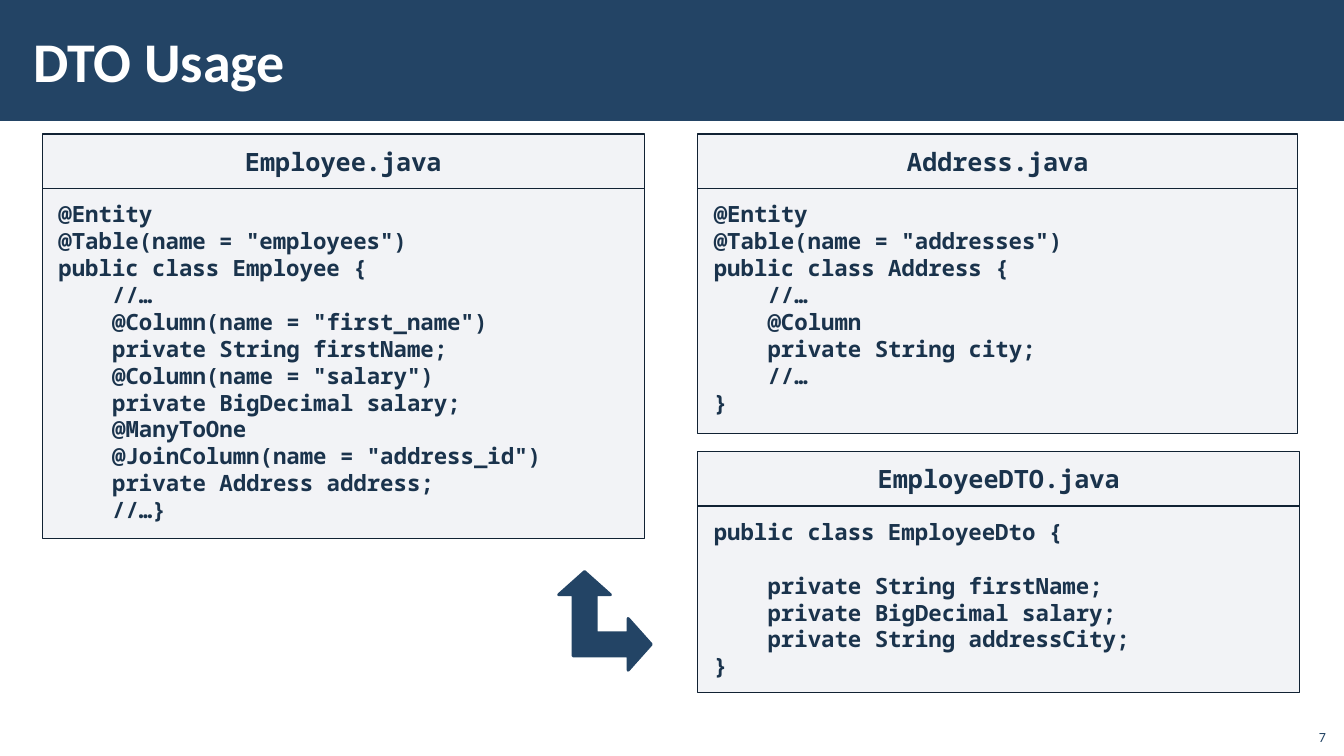
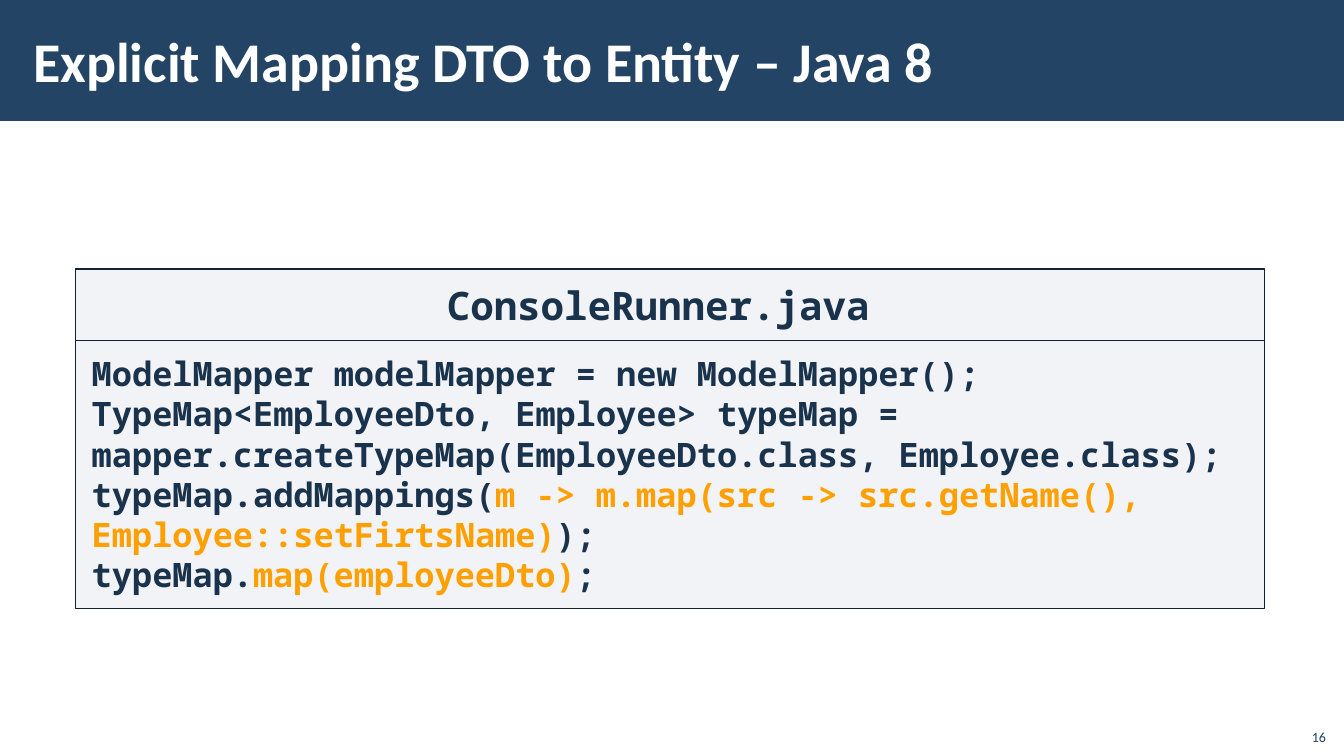
from lxml import etree
from pptx import Presentation
from pptx.dml.color import RGBColor
from pptx.enum.shapes import MSO_SHAPE
from pptx.enum.text import MSO_ANCHOR, PP_ALIGN
from pptx.oxml.ns import qn
from pptx.util import Inches, Pt

RECT = MSO_SHAPE.RECTANGLE
ARROW = MSO_SHAPE.LEFT_UP_ARROW
TOP, MIDDLE, BOTTOM = MSO_ANCHOR.TOP, MSO_ANCHOR.MIDDLE, MSO_ANCHOR.BOTTOM
LEFT, CENTER, RIGHT = PP_ALIGN.LEFT, PP_ALIGN.CENTER, PP_ALIGN.RIGHT

NAVY, WHITE, INK = "234465", "FFFFFF", "1A334C"
PANEL, EDGE, ACCENT = "ADB4C3", "112233", "FFA000"
SANS, MONO = "Calibri", "Noto Sans Mono"
TAB = 4  # spaces in one level of code indent

EMPLOYEE = """@Entity
@Table(name = "employees")
public class Employee {
    //…
    @Column(name = "first_name")
    private String firstName;
    @Column(name = "salary")
    private BigDecimal salary;
    @ManyToOne
    @JoinColumn(name = "address_id")
    private Address address;
    //…}"""

ADDRESS = """@Entity
@Table(name = "addresses")
public class Address {
    //…
    @Column
    private String city;
    //…
}"""

DTO = """public class EmployeeDto {

    private String firstName;
    private BigDecimal salary;
    private String addressCity;
}"""

# Text between bars takes the accent colour.
RUNNER = """ModelMapper modelMapper = new ModelMapper();
TypeMap<EmployeeDto, Employee> typeMap = mapper.createTypeMap(EmployeeDto.class, Employee.class);
typeMap.addMappings(|m -> m.map(src -> src.getName(), Employee::setFirtsName)|);
typeMap.|map(employeeDto)|;"""


def rgb(code):
    """Turn a hex string into a colour."""
    return RGBColor.from_string(code)


def style(para, size, color, name, bold=False, align=LEFT):
    """Set the font and alignment of a paragraph."""
    font = para.font
    font.size, font.name, font.bold = Pt(size), name, bold
    font.color.rgb = rgb(color)
    para.alignment = align


def frame(shape, anchor, side, edge):
    """Set up wrapping, anchor and insets; return the text frame."""
    text = shape.text_frame
    text.word_wrap, text.vertical_anchor = True, anchor
    text.margin_left = text.margin_right = Inches(side)
    text.margin_top = text.margin_bottom = Inches(edge)
    return text


def add_block(shapes, kind, box, fill, line=None, width=1):
    """Add a filled preset shape without a shadow."""
    shape = shapes.add_shape(kind, *map(Inches, box))
    shape.shadow.inherit = False
    shape.fill.solid()
    shape.fill.fore_color.rgb = rgb(fill)
    if line:
        shape.line.color.rgb = rgb(line)
        shape.line.width = Pt(width)
    else:
        shape.line.fill.background()
    return shape


def add_panel(shapes, box):
    """Add a pale outlined panel; return its text frame."""
    shape = add_block(shapes, RECT, box, PANEL, EDGE)
    color = shape.element.spPr.find(qn("a:solidFill")).find(qn("a:srgbClr"))
    etree.SubElement(color, qn("a:alpha"), val="15000")
    return frame(shape, TOP, 0.16, 0.12)


def add_line(para, line, size):
    """Write one line of code, indented, with its accent parts."""
    code = line.lstrip()
    style(para, size, INK, MONO, True)
    indent = Pt(0.6 * size * (len(line) - len(code)))
    para._p.get_or_add_pPr().set("marL", str(indent))
    para._p.get_or_add_pPr().set("indent", "0")
    for part, text in enumerate(code.split("|")):
        run = para.add_run()
        run.text = text
        if part % 2:
            run.font.color.rgb = rgb(ACCENT)


def add_card(slide, name, code, box, head=0.54, sizes=(18, 16)):
    """Add a code card: a file name above a listing."""
    left, top, width, height = box
    shapes = slide.shapes.add_group_shape().shapes
    body = add_panel(shapes, (left, top + head, width, height - head))
    para, gap = body.paragraphs[0], 0
    for row, line in enumerate(code.splitlines()):
        if not line:
            gap += 1.2 * sizes[1]
            continue
        para = body.add_paragraph() if row else para
        add_line(para, line, sizes[1])
        para.space_before, gap = Pt(gap), 0
    title = add_panel(shapes, (left, top, width, head)).paragraphs[0]
    title.text = name
    style(title, sizes[0], INK, MONO, True, CENTER)


def add_arrow(slide, box):
    """Add the arrow that points up and right."""
    arrow = add_block(slide.shapes, ARROW, box, NAVY, NAVY, 2)
    arrow.element.spPr.find(qn("a:xfrm")).set("flipH", "1")
    for spot, value in enumerate((0.25, 0.28, 0.25)):
        arrow.adjustments[spot] = value


def add_band(slide):
    """Put the title band on the layout of a slide."""
    band = add_block(slide.shapes, RECT, (0, 0, 13.33, 1.2), NAVY)
    slide.slide_layout.shapes.element.insert(2, band.element)


def add_slide(deck, title, number):
    """Add a slide with its title and page number."""
    slide = deck.slides.add_slide(deck.slide_layouts[5])
    head = slide.shapes.title
    head.left, head.top = Inches(0.21), Inches(0.11)
    head.width, head.height = Inches(10.63), Inches(0.97)
    para = frame(head, MIDDLE, 0.12, 0.04).paragraphs[0]
    para.text = title
    style(para, 40, WHITE, SANS, True)
    foot = slide.shapes.add_textbox(*map(Inches, (12.85, 7.12, 0.4, 0.32)))
    para = frame(foot, BOTTOM, 0.1, 0.05).paragraphs[0]
    para.text = str(number)
    style(para, 10, NAVY, SANS, align=RIGHT)
    return slide


def main():
    """Build and save the deck."""
    deck = Presentation()
    deck.slide_width, deck.slide_height = Inches(13.33), Inches(7.5)

    usage = add_slide(deck, "DTO Usage", 7)
    add_band(usage)
    add_card(usage, "Employee.java", EMPLOYEE, (0.42, 1.33, 5.97, 4.01))
    add_card(usage, "Address.java", ADDRESS, (6.92, 1.33, 5.95, 2.97))
    add_card(usage, "EmployeeDTO.java", DTO, (6.92, 4.48, 5.97, 2.39))
    add_arrow(usage, (5.54, 5.67, 0.92, 0.98))

    mapping = add_slide(deck, "Explicit Mapping DTO to Entity – Java 8", 16)
    add_card(mapping, "ConsoleRunner.java ", RUNNER,
             (0.75, 2.67, 11.79, 3.37), 0.71, (28, 24))

    deck.save("out.pptx")


if __name__ == "__main__":
    main()
